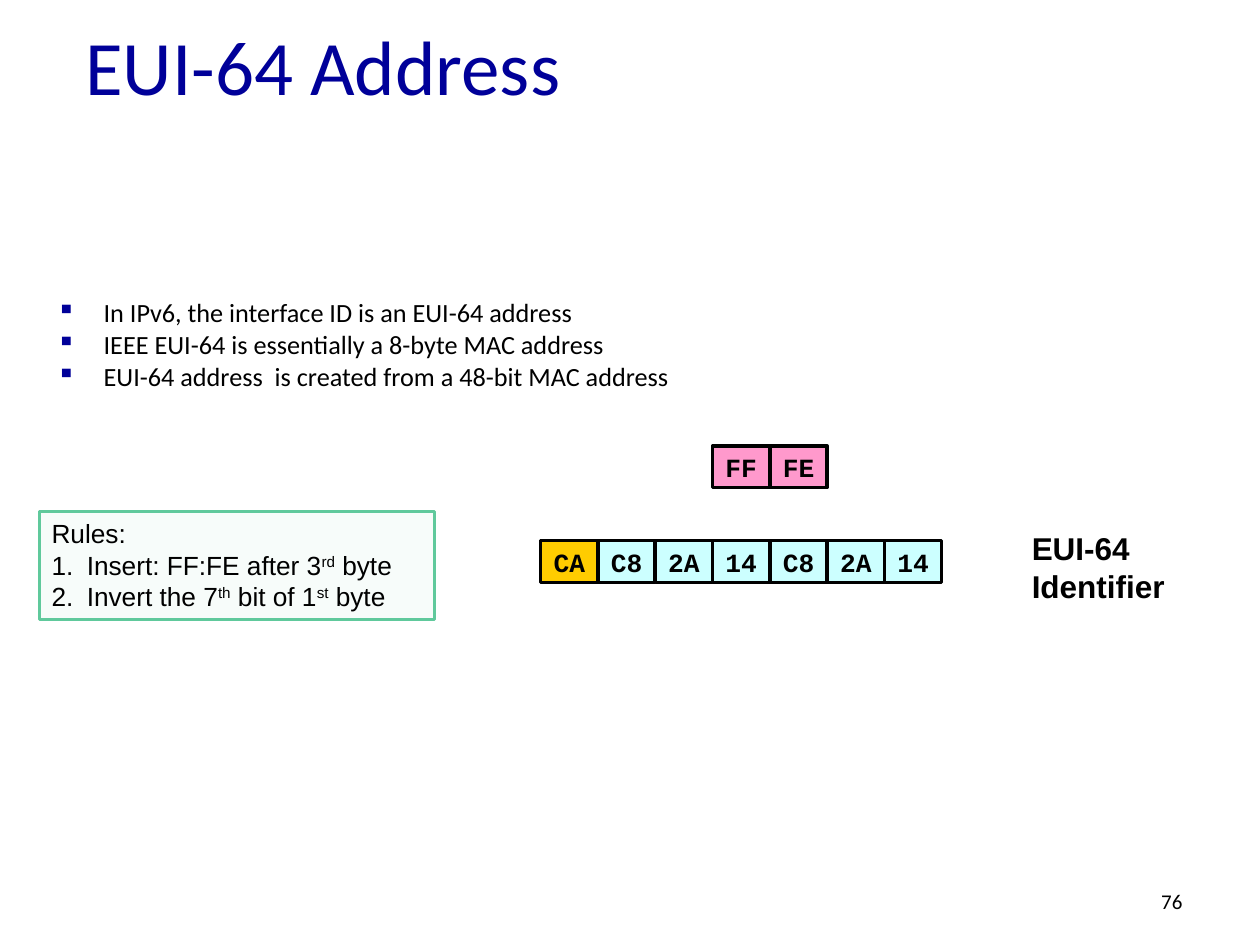
from lxml import etree
from pptx import Presentation
from pptx import util as u
from pptx.dml.color import RGBColor
from pptx.enum import shapes, text
from pptx.oxml import ns

BLACK = "000000"
NAVY = "000099"


def shade(code):
    return RGBColor.from_string(code)


def place(box):
    return [u.Cm(n) for n in box]


def style(para, face, size, color=BLACK, bold=False):
    font = para.font
    font.name, font.size, font.bold = face, u.Pt(size), bold
    font.color.rgb = shade(color)


def mark(para, indent, tag, color=None, **attrs):
    props = para._p.get_or_add_pPr()
    props.set("marL", str(u.Cm(indent)))
    props.set("indent", str(-u.Cm(indent)))
    if color:
        tint = etree.SubElement(props, ns.qn("a:buClr"))
        etree.SubElement(tint, ns.qn("a:srgbClr"), val=color)
    etree.SubElement(props, ns.qn(tag), **attrs)


def label(slide, box, words, face, size, color=BLACK, bold=False, middle=False):
    frame = slide.shapes.add_textbox(*place(box)).text_frame
    frame.word_wrap = True
    if middle:
        frame.vertical_anchor = text.MSO_ANCHOR.MIDDLE
    frame.text = words
    style(frame.paragraphs[0], face, size, color, bold)


def panel(slide, box, fill, edge, width):
    shape = slide.shapes.add_shape(shapes.MSO_SHAPE.RECTANGLE, *place(box))
    shape.shadow.inherit = False
    shape.fill.solid()
    shape.fill.fore_color.rgb = shade(fill)
    shape.line.color.rgb = shade(edge)
    shape.line.width = u.Pt(width)
    return shape


def points(slide, box, lines):
    frame = slide.shapes.add_textbox(*place(box)).text_frame
    frame.word_wrap = True
    for i, line in enumerate(lines):
        para = frame.paragraphs[0] if i == 0 else frame.add_paragraph()
        para.text = line
        para.line_spacing = 0.85
        if i:
            para.space_before = u.Pt(3)
        mark(para, 0.95, "a:buChar", NAVY, char="▪")
        style(para, "Calibri", 15)


def rules(slide, box, head, steps):
    shape = panel(slide, box, "DDF3EA", "60C99C", 1.75)
    tint = shape.fill._xPr.find(".//" + ns.qn("a:srgbClr"))
    etree.SubElement(tint, ns.qn("a:alpha"), val="22000")
    frame = shape.text_frame
    frame.word_wrap = True
    frame.vertical_anchor = text.MSO_ANCHOR.TOP
    frame.text = head
    for step in steps:
        para = frame.add_paragraph()
        mark(para, 0.71, "a:buAutoNum", type="arabicPeriod")
        for i, part in enumerate(step):
            run = para.add_run()
            run.text = part
            if i % 2:
                run.font._element.set("baseline", "30000")
    for para in frame.paragraphs:
        para.alignment = text.PP_ALIGN.LEFT
        style(para, "Arial", 15)


def octets(slide, box, codes, fill):
    left, top, width, height = box
    step = width / len(codes)
    for i, code in enumerate(codes):
        cell = panel(slide, (left + i * step, top, step, height), fill, BLACK, 2)
        frame = cell.text_frame
        frame.margin_left = frame.margin_right = 0
        frame.vertical_anchor = text.MSO_ANCHOR.MIDDLE
        frame.text = code
        para = frame.paragraphs[0]
        para.alignment = text.PP_ALIGN.CENTER
        style(para, "Courier New", 15, bold=True)


def address(slide, box):
    left, top, step, height = box
    low = top + 1.91
    octets(slide, (left + step, low, 6 * step, height),
           ["C8", "2A", "14"] * 2, "CCFFFF")
    octets(slide, (left + 3 * step, top, 2 * step, height), ["FF", "FE"], "FF99CC")
    octets(slide, (left, low, step, height), ["CA"], "FFCC00")


def main():
    deck = Presentation()
    deck.slide_width, deck.slide_height = u.Cm(25.4), u.Cm(19.05)
    slide = deck.slides.add_slide(deck.slide_layouts[6])
    points(slide, (0.89, 5.94, 21.16, 10.74), [
        "In IPv6, the interface ID is an EUI-64 address",
        "IEEE EUI-64 is essentially a 8-byte MAC address",
        "EUI-64 address  is created from a 48-bit MAC address",
    ])
    label(slide, (1.47, 0.64, 21.59, 1.32), "EUI-64 Address",
          "Calibri", 44, NAVY, middle=True)
    rules(slide, (0.79, 10.31, 7.98, 2.18), "Rules:", [
        ["Insert: FF:FE after 3", "rd", " byte"],
        ["Invert the 7", "th", " bit of 1", "st", " byte"],
    ])
    address(slide, (10.9, 8.99, 1.155, 0.84))
    label(slide, (20.55, 10.54, 4.85, 1.8), "EUI-64 Identifier",
          "Arial", 18, bold=True)
    label(slide, (23.16, 17.78, 2.24, 1.27), "76", "Calibri", 12)
    deck.save("out.pptx")


if __name__ == "__main__":
    main()
